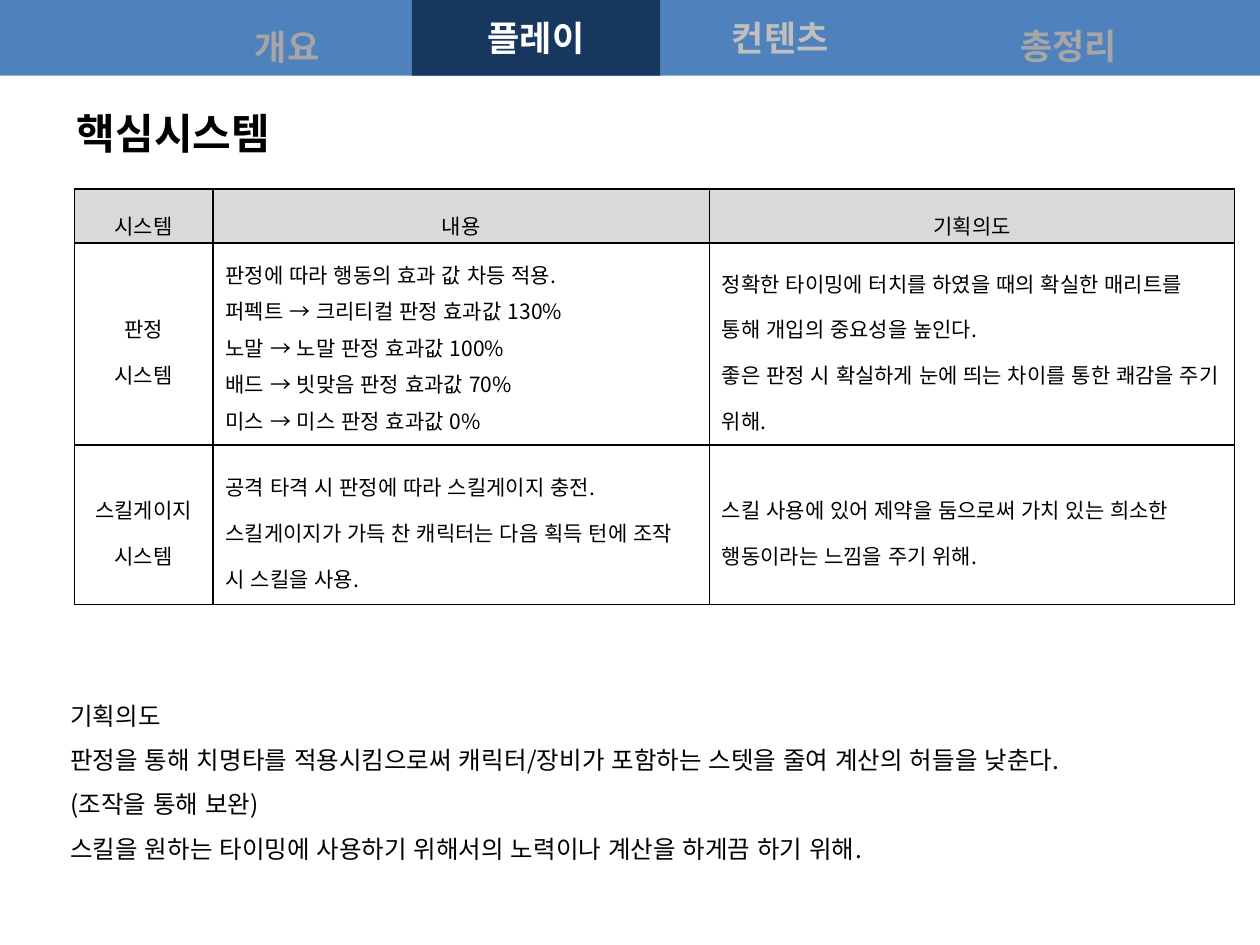
import pptx
import pptx.util
import pptx.dml.color
import pptx.enum.lang
import pptx.enum.shapes
import pptx.enum.text
import pptx.oxml
import pptx.oxml.ns
from pptx.util import Inches

ALIGN = pptx.enum.text.PP_ALIGN
ANCHOR = pptx.enum.text.MSO_ANCHOR

THEME = {
    "bar": "4F81BD", "active": "17375E", "header": "D9D9D9",
    "text": "000000", "white": "FFFFFF", "near": "BFBFBF", "muted": "A6A6A6",
    "korean": "Noto Sans CJK KR", "latin": "Arial",
    "tab_size": 20, "title_size": 24, "table_size": 12, "note_size": 14,
    "open_spacing": 1.5, "tight_spacing": 1.2,
}

TITLE = "핵심시스템"
ACTIVE_TAB = ("플레이", (3.27, 0, 1.97, 0.6), "white", "latin", 1)
OTHER_TABS = [
    ("컨텐츠", (5.21, 0, 1.97, 0.6), "near", "latin", 1),
    ("개요", (1.61, -0.02, 1.34, 0.61), "muted", "latin", 1.5),
    ("총정리", (7, 0.01, 2.96, 0.54), "muted", "korean", 1.5),
]
SYSTEMS = [
    [["시스템"], ["내용"], ["기획의도"]],
    [
        ["판정", "시스템"],
        [
            "판정에 따라 행동의 효과 값 차등 적용.",
            "퍼펙트 → 크리티컬 판정 효과값 130%",
            "노말 → 노말 판정 효과값 100%",
            "배드 → 빗맞음 판정 효과값 70%",
            "미스 → 미스 판정 효과값 0%",
        ],
        [
            "정확한 타이밍에 터치를 하였을 때의 확실한 매리트를 통해 개입의 중요성을 높인다.",
            "좋은 판정 시 확실하게 눈에 띄는 차이를 통한 쾌감을 주기 위해.",
        ],
    ],
    [
        ["스킬게이지", "시스템"],
        [
            "공격 타격 시 판정에 따라 스킬게이지 충전.",
            "스킬게이지가 가득 찬 캐릭터는 다음 획득 턴에 조작 시 스킬을 사용.",
        ],
        ["스킬 사용에 있어 제약을 둠으로써 가치 있는 희소한 행동이라는 느낌을 주기 위해."],
    ],
]
COLUMN_WIDTHS = [1.1, 3.94, 4.17]
ROW_HEIGHTS = [0.43, 1.6, 1.27]
MAX_OPEN_LINES = 4
INTENT = [
    "기획의도",
    "판정을 통해 치명타를 적용시킴으로써 캐릭터/장비가 포함하는 스텟을 줄여 계산의 허들을 낮춘다.",
    "(조작을 통해 보완)",
    "스킬을 원하는 타이밍에 사용하기 위해서의 노력이나 계산을 하게끔 하기 위해.",
]


def color(name):
    return pptx.dml.color.RGBColor.from_string(THEME[name])


def write(frame, lines, size, ink="text", face="korean", bold=False,
          align=ALIGN.LEFT, spacing=THEME["open_spacing"]):
    frame.text = "\n".join(lines)
    for paragraph in frame.paragraphs:
        paragraph.alignment = align
        paragraph.line_spacing = spacing
        for run in paragraph.runs:
            run.font.size = pptx.util.Pt(THEME[size])
            run.font.bold = bold
            run.font.language_id = pptx.enum.lang.MSO_LANGUAGE_ID.KOREAN
            run.font.color.rgb = color(ink)
            run.font.name = THEME[face]
            east_asian = pptx.oxml.parse_xml(
                f'<a:ea {pptx.oxml.ns.nsdecls("a")} typeface="{THEME[face]}"/>')
            run.font._element.find(pptx.oxml.ns.qn("a:latin")).addnext(east_asian)


def add_block(slide, box, fill):
    block = slide.shapes.add_shape(
        pptx.enum.shapes.MSO_SHAPE.RECTANGLE, *map(Inches, box))
    block.shadow.inherit = False
    block.fill.solid()
    block.fill.fore_color.rgb = color(fill)
    block.line.fill.background()
    return block


def write_tab(shape, label, ink, face, spacing):
    frame = shape.text_frame
    frame.word_wrap = True
    frame.vertical_anchor = ANCHOR.MIDDLE
    write(frame, [label], "tab_size", ink, face, True, ALIGN.CENTER, spacing)


def add_borders(cell):
    properties = cell._tc.get_or_add_tcPr()
    for position, side in enumerate(("lnL", "lnR", "lnT", "lnB")):
        properties.insert(position, pptx.oxml.parse_xml(
            f'<a:{side} {pptx.oxml.ns.nsdecls("a")} w="12700"><a:solidFill>'
            f'<a:srgbClr val="{THEME["text"]}"/></a:solidFill></a:{side}>'))


def add_systems(slide):
    table = slide.shapes.add_table(
        len(SYSTEMS), len(COLUMN_WIDTHS), Inches(0.59), Inches(1.5),
        Inches(sum(COLUMN_WIDTHS)), Inches(sum(ROW_HEIGHTS))).table
    for column, width in zip(table.columns, COLUMN_WIDTHS):
        column.width = Inches(width)
    for row, height in zip(table.rows, ROW_HEIGHTS):
        row.height = Inches(height)
    for r, row in enumerate(SYSTEMS):
        for c, lines in enumerate(row):
            cell = table.cell(r, c)
            cell.vertical_anchor = ANCHOR.MIDDLE
            centred = r == 0 or c == 0
            crowded = len(lines) > MAX_OPEN_LINES
            write(cell.text_frame, lines, "table_size",
                  align=ALIGN.CENTER if centred else ALIGN.LEFT,
                  spacing=THEME["tight_spacing" if crowded else "open_spacing"])
            if r == 0:
                cell.fill.solid()
                cell.fill.fore_color.rgb = color("header")
            else:
                cell.fill.background()
            add_borders(cell)


def main():
    deck = pptx.Presentation()
    deck.slide_width, deck.slide_height = Inches(10), Inches(7.5)
    slide = deck.slides.add_slide(deck.slide_layouts[5])

    add_block(slide, (0, 0, 10, 0.6), "bar")
    label, box, *style = ACTIVE_TAB
    write_tab(add_block(slide, box, "active"), label, *style)
    for label, box, *style in OTHER_TABS:
        write_tab(slide.shapes.add_textbox(*map(Inches, box)), label, *style)

    title = slide.shapes.title
    title.left, title.top, title.width, title.height = map(
        Inches, (0.51, 0.6, 1.95, 0.63))
    title.text_frame.vertical_anchor = ANCHOR.TOP
    title.text_frame.auto_size = pptx.enum.text.MSO_AUTO_SIZE.NONE
    write(title.text_frame, [TITLE], "title_size", bold=True)

    add_systems(slide)

    intent = slide.shapes.add_textbox(*map(Inches, (0.46, 5.4, 8.86, 1.51)))
    intent.text_frame.word_wrap = False
    write(intent.text_frame, INTENT, "note_size")

    deck.save("out.pptx")


if __name__ == "__main__":
    main()
